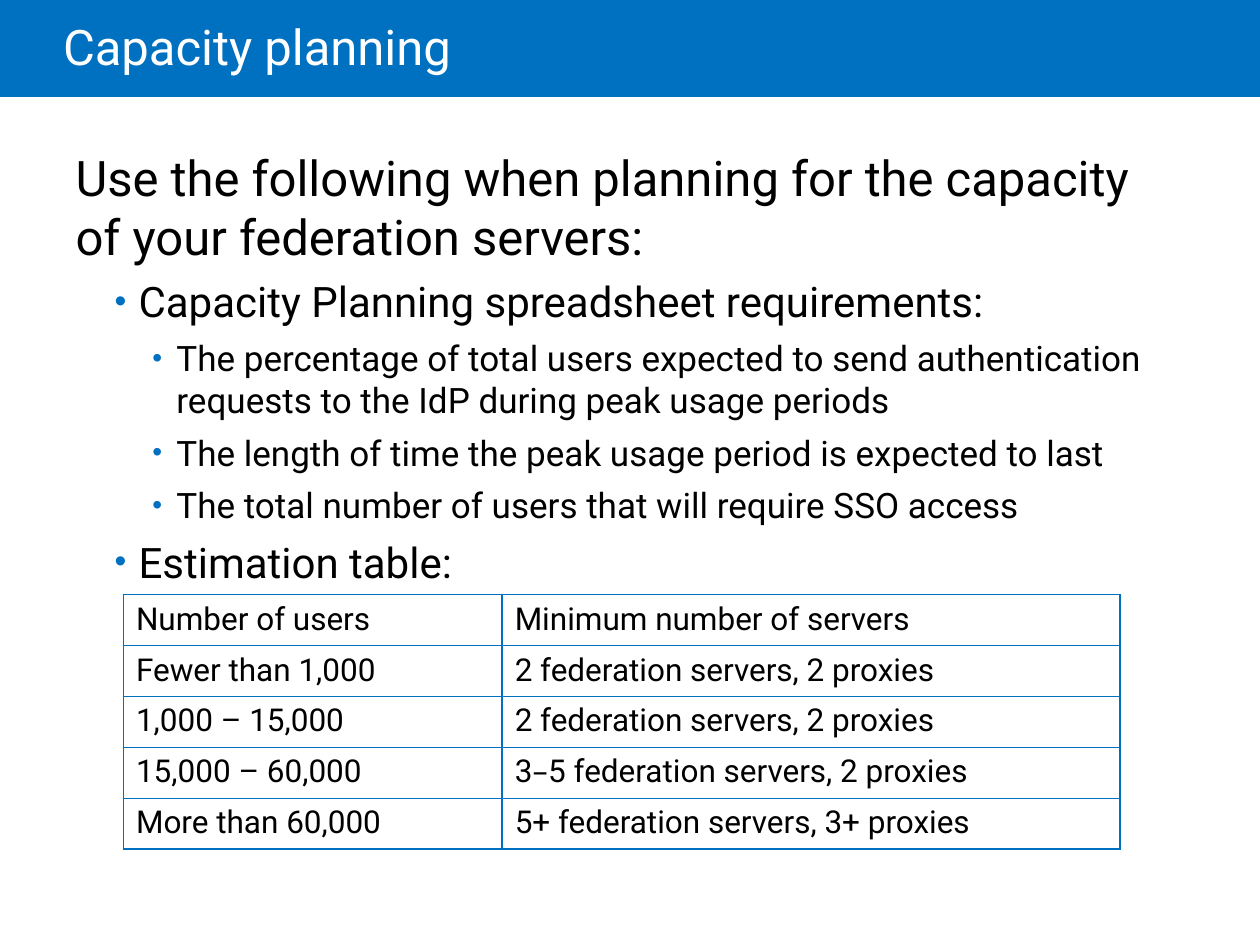
import pptx
import pptx.dml.color
import pptx.enum.shapes
import pptx.enum.text
import pptx.oxml
import pptx.oxml.ns
import pptx.util

COLORS = {"accent": "0070C0", "text": "000000", "paper": "FFFFFF"}
FONT = "Roboto"
WIDTH, HEIGHT = pptx.util.Inches(10), pptx.util.Inches(7.5)
LEVEL_SIZES = (28, 24, 20)
LEVEL_INDENTS = (0, 0.5, 0.8)
HANGING = 0.19
OUTLINE = (
    (0, "Use the following when planning for the capacity of your federation servers:"),
    (1, "Capacity Planning spreadsheet requirements:"),
    (2, "The percentage of total users expected to send authentication requests to the IdP during peak usage periods"),
    (2, "The length of time the peak usage period is expected to last"),
    (2, "The total number of users that will require SSO access"),
    (1, "Estimation table:"),
)
ESTIMATES = (
    ("Number of users", ("Minimum number of servers",)),
    ("Fewer than 1,000", ("2 federation servers, 2 proxies",)),
    ("1,000 – 15,000", ("2 federation servers, 2 proxies",)),
    ("15,000 – 60,000", ("3", "–", "5 federation servers, 2 proxies")),
    ("More than 60,000", ("5+ federation servers, 3+ proxies",)),
)


def rgb(name):
    """Return a palette colour."""
    return pptx.dml.color.RGBColor.from_string(COLORS[name])


def inches_box(left, top, width, height):
    """Convert a box in inches to slide lengths."""
    return tuple(pptx.util.Inches(value) for value in (left, top, width, height))


def set_box(part, box):
    """Move a placeholder into a box."""
    part.left, part.top, part.width, part.height = box


def style(paragraph, size, color="text"):
    """Give a paragraph its font."""
    paragraph.font.name = FONT
    paragraph.font.size = pptx.util.Pt(size)
    paragraph.font.bold = False
    paragraph.font.color.rgb = rgb(color)


def add_xml(parent, markup):
    """Append a drawing element to its parent."""
    namespace = pptx.oxml.ns.nsdecls("a")
    tag, rest = markup[1:].split(" ", 1)
    parent.append(pptx.oxml.parse_xml(f"<{tag} {namespace} {rest}"))


def set_bullet(paragraph, level):
    """Set the indent and bullet of an outline level."""
    properties = paragraph._p.get_or_add_pPr()
    hanging = HANGING if level else 0
    properties.set("marL", str(pptx.util.Inches(LEVEL_INDENTS[level])))
    properties.set("indent", str(-pptx.util.Inches(hanging)))
    if not level:
        add_xml(properties, "<a:buNone />")
        return
    add_xml(properties, f'<a:buClr ><a:srgbClr val="{COLORS["accent"]}"/></a:buClr>')
    add_xml(properties, '<a:buSzPct val="80000"/>')
    add_xml(properties, '<a:buFont typeface="Arial"/>')
    add_xml(properties, '<a:buChar char="•"/>')


def build_header(slide, box):
    """Build the coloured band and the title on it."""
    left, top, width, height = box
    band = slide.shapes.add_shape(pptx.enum.shapes.MSO_SHAPE.RECTANGLE, *box)
    band.shadow.inherit = False
    band.fill.solid()
    band.fill.fore_color.rgb = rgb("accent")
    band.line.fill.background()
    slide.shapes._spTree.insert(2, band._element)

    title = slide.shapes.title
    set_box(title, (left + int(width * 0.05), top, int(width * 0.85), int(height * 1.05)))
    frame = title.text_frame
    frame.text = "Capacity planning"
    frame.auto_size = pptx.enum.text.MSO_AUTO_SIZE.NONE
    frame.vertical_anchor = pptx.enum.text.MSO_ANCHOR.MIDDLE
    frame.margin_left = 0
    heading = frame.paragraphs[0]
    heading.alignment = pptx.enum.text.PP_ALIGN.LEFT
    heading.line_spacing = 0.85
    style(heading, 28, "paper")


def build_outline(slide, box):
    """Fill the body with the planning outline."""
    body = slide.placeholders[1]
    set_box(body, box)
    frame = body.text_frame
    frame.auto_size = pptx.enum.text.MSO_AUTO_SIZE.NONE
    for index, (level, wording) in enumerate(OUTLINE):
        paragraph = frame.add_paragraph() if index else frame.paragraphs[0]
        paragraph.text = wording
        paragraph.level = level
        paragraph.space_before = pptx.util.Pt(6)
        set_bullet(paragraph, level)
        style(paragraph, LEVEL_SIZES[level])


def set_borders(cell):
    """Draw the four borders of a cell."""
    properties = cell._tc.get_or_add_tcPr()
    for position, side in enumerate(("lnL", "lnR", "lnT", "lnB")):
        border = pptx.oxml.parse_xml(
            f'<a:{side} {pptx.oxml.ns.nsdecls("a")} w="{pptx.util.Pt(1)}"><a:solidFill>'
            f'<a:srgbClr val="{COLORS["accent"]}"/></a:solidFill></a:{side}>'
        )
        properties.insert(position, border)


def fill_cell(cell, pieces):
    """Write and format one cell."""
    cell.fill.solid()
    cell.fill.fore_color.rgb = rgb("paper")
    set_borders(cell)
    paragraph = cell.text_frame.paragraphs[0]
    for piece in pieces:
        run = paragraph.add_run()
        run.text = piece
        if piece == "–":
            run.font.name = "DejaVu Sans"
    style(paragraph, 18)


def build_estimates(slide, box):
    """Build the table of server estimates."""
    width, height = box[2:]
    table = slide.shapes.add_table(len(ESTIMATES), 2, *box).table
    table.first_row = table.horz_banding = False
    for column, share in zip(table.columns, (0.38, 0.62)):
        column.width = int(width * share)
    for row, (users, servers) in zip(table.rows, ESTIMATES):
        row.height = height // len(ESTIMATES)
        fill_cell(row.cells[0], (users,))
        fill_cell(row.cells[1], servers)


def main():
    """Build and save the capacity slide."""
    deck = pptx.Presentation()
    deck.slide_width, deck.slide_height = WIDTH, HEIGHT
    slide = deck.slides.add_slide(deck.slide_layouts[1])
    build_header(slide, inches_box(0, 0, 10, 0.77))
    build_outline(slide, inches_box(0.5, 1.12, 8.88, 5.63))
    build_estimates(slide, inches_box(0.98, 4.72, 7.91, 2.02))
    deck.save("out.pptx")


if __name__ == "__main__":
    main()
